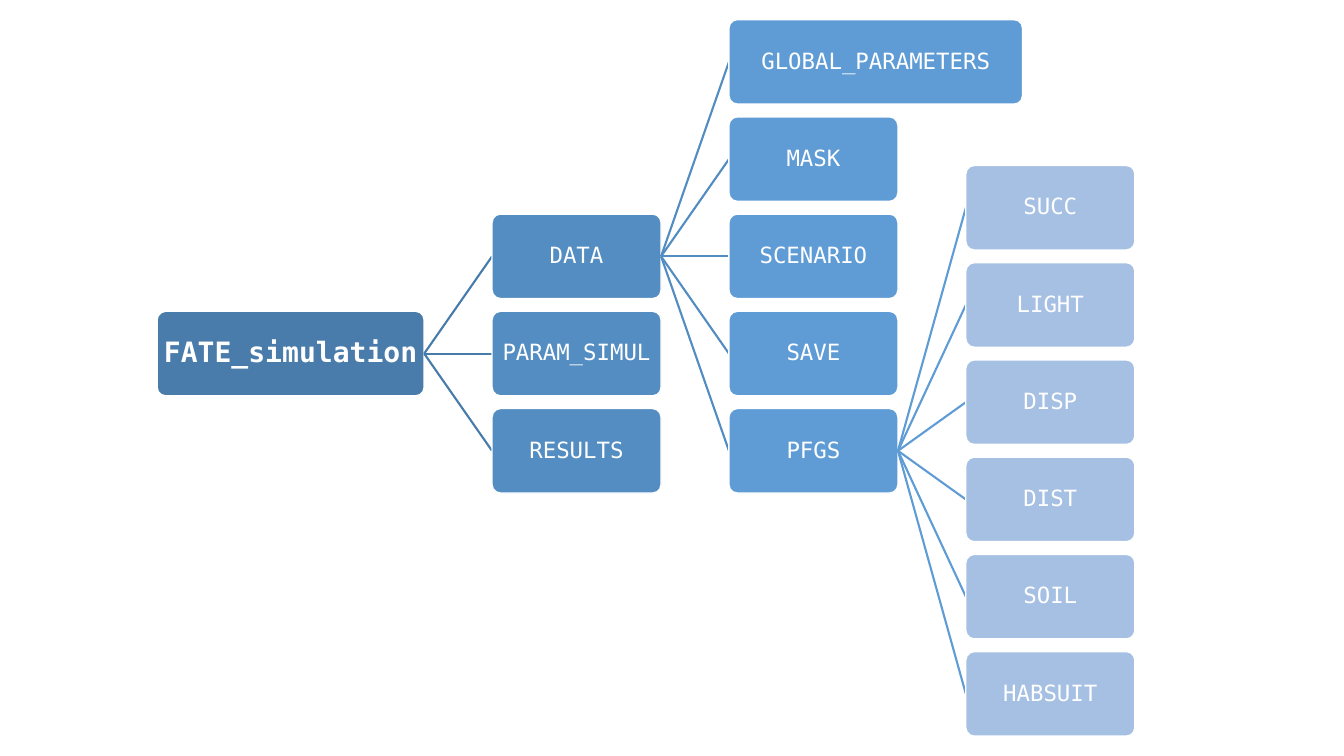
from dataclasses import dataclass

from lxml.etree import SubElement
from pptx import Presentation
from pptx.dml.color import RGBColor
from pptx.enum.shapes import MSO_CONNECTOR, MSO_SHAPE
from pptx.enum.text import MSO_ANCHOR, PP_ALIGN
from pptx.oxml.ns import qn
from pptx.shapes.autoshape import Shape
from pptx.shapes.shapetree import SlideShapes
from pptx.util import Cm, Pt


@dataclass(frozen=True)
class Theme:
    font: str = "DejaVu Sans Mono"
    text: str = "FFFFFF"
    outline: str = "FFFFFF"
    fills: tuple[str, ...] = ("497CAB", "538DC1", "5F9CD5", "A5C0E3")  # by level
    links: tuple[str, ...] = ("477BA9", "528CC1", "5F9CD5")  # by parent level
    root_size: int = 20
    folder_size: int = 16
    outline_width: float = 1
    link_width: float = 1.5


@dataclass(frozen=True)
class Folder:
    name: str
    children: tuple["Folder", ...] = ()
    width: float = 4.26


THEME = Theme()

# Layout grid in centimetres
ROOT_LEFT, ROOT_ROW = 3.96, 3
FIRST_ROW_CENTRE, ROW_PITCH = 1.56, 2.45
BOX_HEIGHT, COLUMN_GAP = 2.13, 1.71
INSET = 0.08


def folders(*names: str) -> tuple[Folder, ...]:
    return tuple(Folder(name) for name in names)


# Folder tree
PFGS = Folder("PFGS", folders("SUCC", "LIGHT", "DISP", "DIST", "SOIL", "HABSUIT"))
DATA = Folder("DATA", (
    Folder("GLOBAL_PARAMETERS", width=7.4),
    *folders("MASK", "SCENARIO", "SAVE"),
    PFGS,
))
SIMULATION = Folder(
    "FATE_simulation", (DATA, *folders("PARAM_SIMUL", "RESULTS")), width=6.73
)


def row_centre(row: float) -> float:
    return FIRST_ROW_CENTRE + row * ROW_PITCH


def draw_box(shapes: SlideShapes, folder: Folder, level: int,
             left: float, row: float) -> Shape:
    box = shapes.add_shape(
        MSO_SHAPE.ROUNDED_RECTANGLE, Cm(left), Cm(row_centre(row) - BOX_HEIGHT / 2),
        Cm(folder.width), Cm(BOX_HEIGHT),
    )
    box.adjustments[0] = 0.1
    box.shadow.inherit = False
    box.fill.solid()
    box.fill.fore_color.rgb = RGBColor.from_string(THEME.fills[level])
    box.line.color.rgb = RGBColor.from_string(THEME.outline)
    box.line.width = Pt(THEME.outline_width)

    frame = box.text_frame
    frame.word_wrap = True
    frame.vertical_anchor = MSO_ANCHOR.MIDDLE
    frame.margin_left = frame.margin_right = Cm(INSET)
    frame.margin_top = frame.margin_bottom = Cm(INSET)
    label = frame.paragraphs[0]
    label.text = folder.name
    label.alignment = PP_ALIGN.CENTER
    label.line_spacing = 0.9
    label.font.name = THEME.font
    label.font.size = Pt(THEME.folder_size if level else THEME.root_size)
    label.font.bold = level == 0
    label.font.color.rgb = RGBColor.from_string(THEME.text)
    return box


def draw_tree(shapes: SlideShapes, folder: Folder, level: int = 0,
              left: float = ROOT_LEFT, row: float = ROOT_ROW) -> Shape:
    """Draw a folder and, centred on its row, the folders inside it."""
    box = draw_box(shapes, folder, level, left, row)
    right = left + folder.width
    first_row = row - (len(folder.children) - 1) / 2
    for child_row, child in enumerate(folder.children):
        link = shapes.add_connector(
            MSO_CONNECTOR.STRAIGHT, Cm(right), Cm(row_centre(row)),
            Cm(right + COLUMN_GAP), Cm(row_centre(first_row + child_row)),
        )
        link.line.color.rgb = RGBColor.from_string(THEME.links[level])
        link.line.width = Pt(THEME.link_width)
        SubElement(link._element.spPr, qn("a:effectLst"))
        child_box = draw_tree(shapes, child, level + 1, right + COLUMN_GAP,
                              first_row + child_row)
        # Glue the right side of the parent to the left side of the child
        link.begin_connect(box, 3)
        link.end_connect(child_box, 1)
    return box


presentation = Presentation()
presentation.slide_width, presentation.slide_height = Cm(33.87), Cm(19.05)
slide = presentation.slides.add_slide(presentation.slide_layouts[6])
draw_tree(slide.shapes, SIMULATION)
presentation.save("out.pptx")
